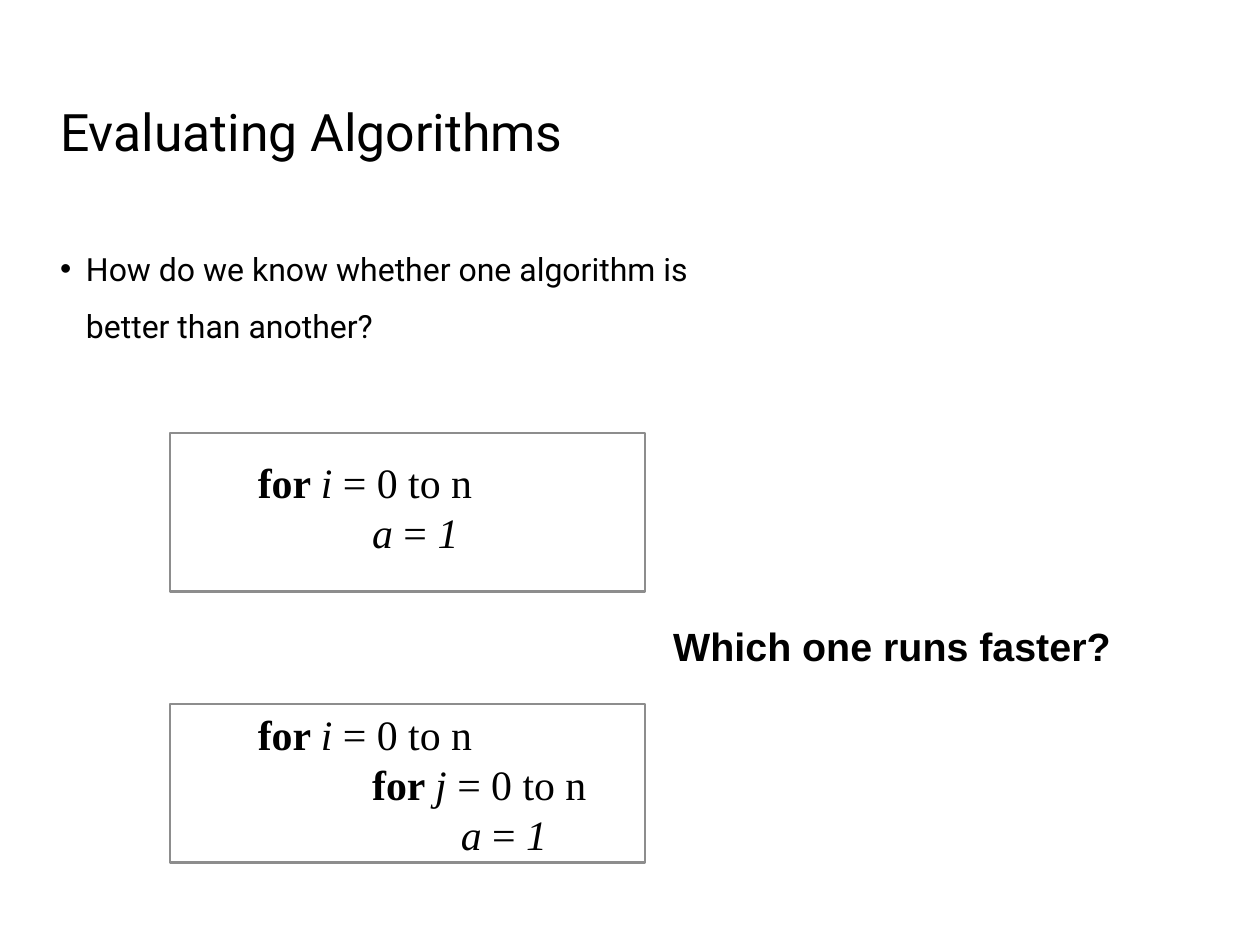
"""Build the slide that compares the running time of two loops."""
import pptx
import pptx.dml.color
import pptx.enum.shapes
import pptx.enum.text
import pptx.util
from lxml import etree
from pptx.util import Inches, Pt

BLACK = pptx.dml.color.RGBColor(0x00, 0x00, 0x00)
WHITE = pptx.dml.color.RGBColor(0xFF, 0xFF, 0xFF)
GRAY = pptx.dml.color.RGBColor(0x8D, 0x8D, 0x8D)

TITLE = "Evaluating Algorithms"
BULLET = "How do we know whether one algorithm is better than another?"
QUESTION = "Which one runs faster?"

ASSIGN = [("a", "i"), (" = ", ""), ("1", "i")]


def loop(var):
    return [("for ", "b"), (var, "i"), (" = 0 to n", "")]


# (frame top, code top, [(indent, runs)])
PROGRAMS = [
    (4.89, 5.10, [(0, loop("i")), (1.29, ASSIGN)]),
    (7.95, 7.94, [(0, loop("i")), (1.29, loop("j")), (2.29, ASSIGN)]),
]
FRAME_LEFT, FRAME_W, FRAME_H = 1.92, 5.36, 1.79
CODE_LEFT, CODE_W = 2.85, 4.15
INSET, HANG = 0.06, 0.29


def add_box(s, left, top, width, height, inset=INSET):
    tf = s.shapes.add_textbox(*map(Inches, (left, top, width, height))).text_frame
    tf.word_wrap = True
    tf.margin_left = tf.margin_right = Inches(inset)
    tf.margin_top = tf.margin_bottom = Inches(min(inset, INSET))
    return tf


def style(r, font, size, bold=False, italic=False):
    r.font.name, r.font.size = font, Pt(size)
    r.font.bold, r.font.italic = bold, italic
    r.font.color.rgb = BLACK


def indent(p, left, first=0.0):
    pPr = p._p.get_or_add_pPr()
    pPr.set("marL", str(Inches(left)))
    pPr.set("indent", str(Inches(first)))
    return pPr


def add_bullet(p):
    pPr = indent(p, HANG, -HANG)
    for tag, key, value in (("buFont", "typeface", "Arial"), ("buChar", "char", "•")):
        etree.SubElement(pPr, pptx.oxml.ns.qn("a:" + tag)).set(key, value)


def add_program(s, frame_top, code_top, lines):
    sp = s.shapes.add_shape(
        pptx.enum.shapes.MSO_SHAPE.RECTANGLE,
        *map(Inches, (FRAME_LEFT, frame_top, FRAME_W, FRAME_H)))
    sp.shadow.inherit = False
    sp.fill.solid()
    sp.fill.fore_color.rgb = WHITE
    sp.line.color.rgb = GRAY
    sp.line.width = Pt(2)
    tf = add_box(s, CODE_LEFT, code_top, CODE_W, FRAME_H)
    for n, (left, runs) in enumerate(lines):
        p = tf.add_paragraph() if n else tf.paragraphs[0]
        indent(p, left)
        for text, face in runs:
            r = p.add_run()
            r.text = text
            style(r, "Times New Roman", 34, face == "b", face == "i")


def main():
    prs = pptx.Presentation()
    prs.slide_width, prs.slide_height = Inches(14.22), Inches(10.67)
    s = prs.slides.add_slide(prs.slide_layouts[6])

    tf = add_box(s, 0.62, 0, 12.97, 1.89)
    tf.vertical_anchor = pptx.enum.text.MSO_ANCHOR.BOTTOM
    tf.text = TITLE
    style(tf.paragraphs[0].runs[0], "Roboto", 42)

    tf = add_box(s, 0.62, 2.54, 7.65, 1.7)
    tf.text = BULLET
    p = tf.paragraphs[0]
    p.line_spacing = 1.5
    add_bullet(p)
    style(p.runs[0], "Roboto", 26)

    for program in PROGRAMS:
        add_program(s, *program)

    tf = add_box(s, 7.5, 6.97, 5.33, 0.64, inset=0.1)
    tf.text = QUESTION
    style(tf.paragraphs[0].runs[0], "Arial", 32, bold=True)

    prs.save("out.pptx")


if __name__ == "__main__":
    main()
